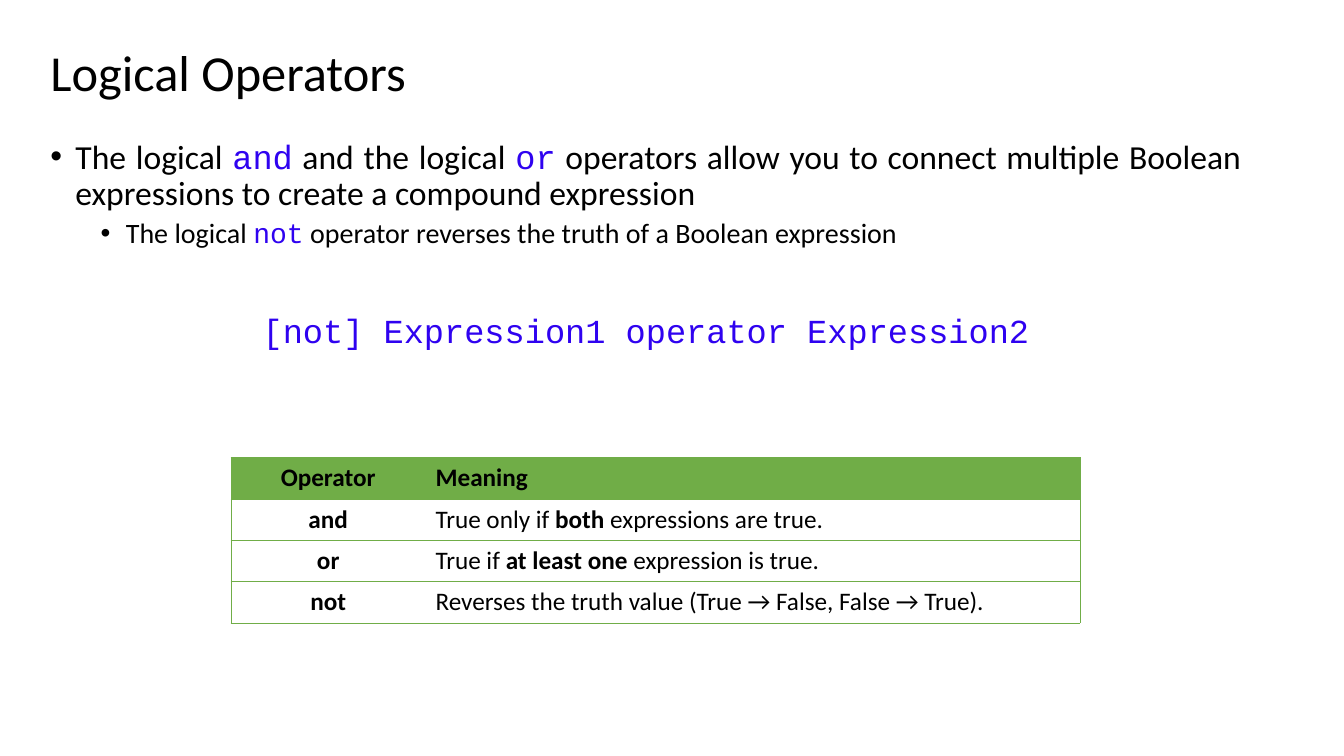
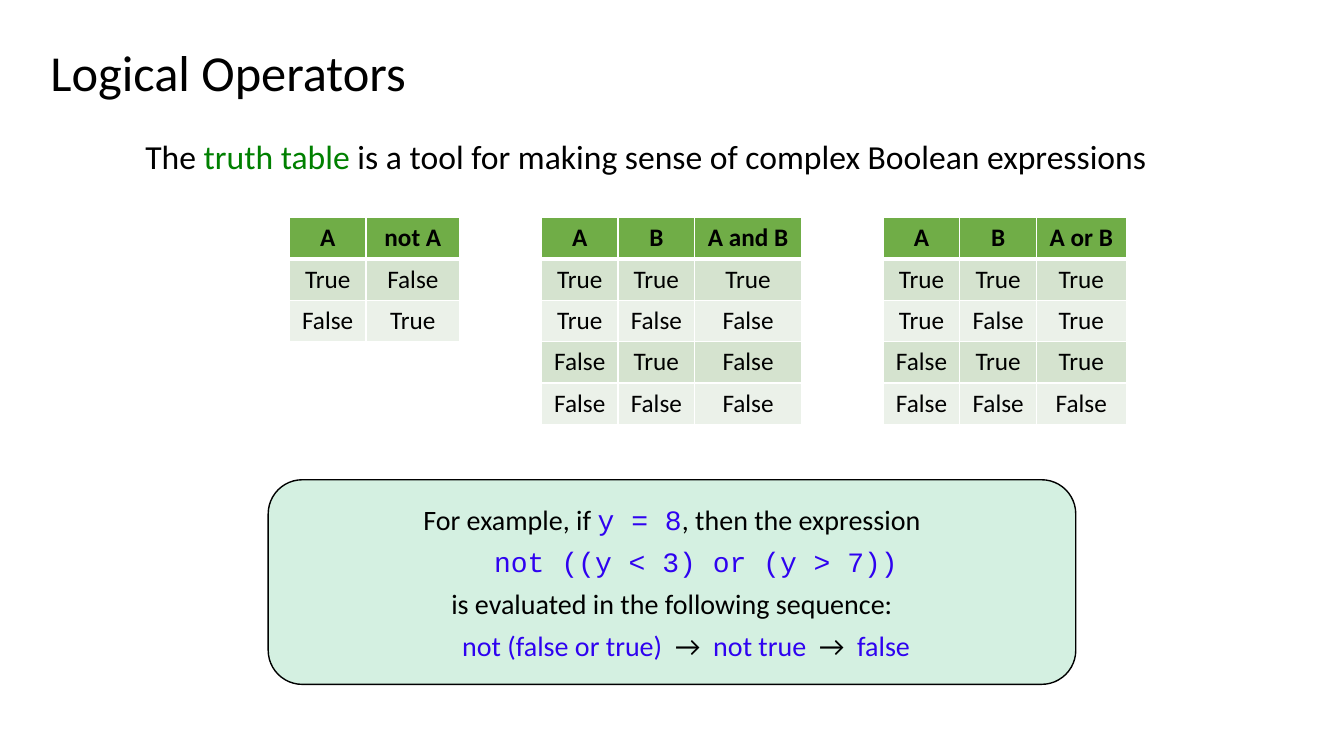
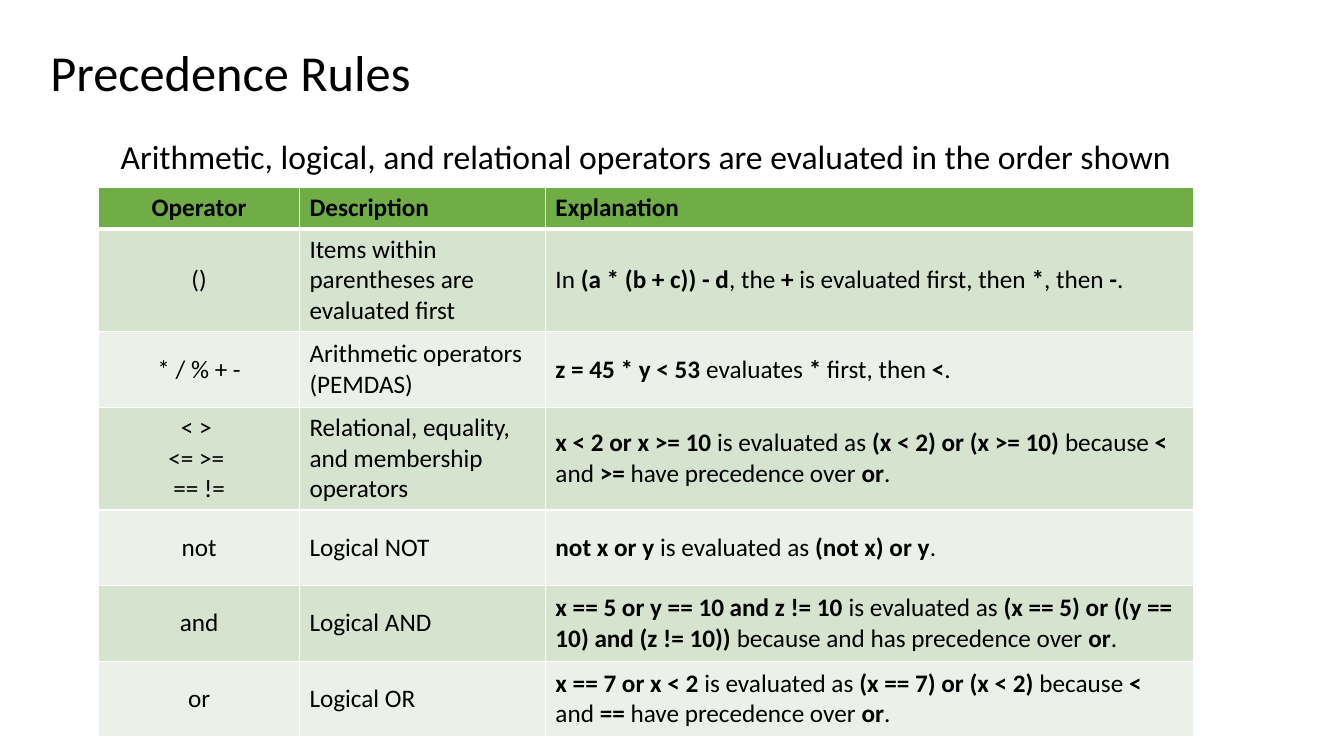
from dataclasses import dataclass

from lxml import etree
from pptx import Presentation
from pptx import util as u
from pptx.dml.color import RGBColor
from pptx.enum import shapes, text
from pptx.oxml.ns import qn

LEFT, CENTER, JUSTIFY = text.PP_ALIGN.LEFT, text.PP_ALIGN.CENTER, text.PP_ALIGN.JUSTIFY


# Theme
@dataclass(frozen=True)
class Theme:
    font: str = "Calibri"
    code_font: str = "Courier New"
    ink: str = "000000"
    code: str = "2F02F0"
    term: str = "008000"
    header: str = "70AD47"
    bands: tuple = ("D5E3CF", "EBF1E9")
    white: str = "FFFFFF"
    panel: str = "D4F0E1"
    title_size: int = 36
    body_size: int = 24
    sub_size: int = 20
    table_size: int = 18


T = Theme()

# Look of the marked (odd) segments of a text split at "|": font, colour, bold
MARKS = {
    "code": (T.code_font, T.code, None),
    "value": (None, T.code, None),
    "term": (None, T.term, None),
    "strong": (None, None, True),
}


@dataclass(frozen=True)
class Line:
    text: str
    mark: str = "code"
    size: int = T.body_size
    align: int = CENTER
    before: float = 10
    after: float = 0
    spacing: float = 0.9
    indent: float = 0
    bullet: bool = False


def panel_line(words, mark="code", indent=0):
    return Line(words, mark, T.sub_size, before=0, after=6, spacing=1, indent=indent)


# Content
OPERATORS_BODY = [
    Line("The logical |and| and the logical |or| operators allow you to connect multiple "
         "Boolean expressions to create a compound expression",
         align=JUSTIFY, indent=0.25, bullet=True),
    Line("The logical |not| operator reverses the truth of a Boolean expression",
         size=T.sub_size, align=JUSTIFY, before=5, indent=0.75, bullet=True),
    Line("|[not] Expression1 operator Expression2|", before=46),
]
OPERATORS = [
    ("Operator", "Meaning"),
    ("|and|", "True only if |both| expressions are true."),
    ("|or|", "True if |at least one| expression is true."),
    ("|not|", "Reverses the truth value (True → False, False → True)."),
]

TRUTH_BODY = [Line("The |truth table |is a tool for making sense of complex Boolean expressions",
                   "term")]
TRUTH_TABLES = [
    ((0.76, 0.93), [("A", "not A"), ("True", "False"), ("False", "True")]),
    ((0.76, 0.76, 1.06), [
        ("A", "B", "A and B"),
        ("True", "True", "True"),
        ("True", "False", "False"),
        ("False", "True", "False"),
        ("False", "False", "False"),
    ]),
    ((0.76, 0.76, 0.89), [
        ("A", "B", "A or B"),
        ("True", "True", "True"),
        ("True", "False", "True"),
        ("False", "True", "True"),
        ("False", "False", "False"),
    ]),
]
EXAMPLE = [
    panel_line("For example, if |y = 8|, then the expression"),
    panel_line("|not ((y < 3) or (y > 7))|", indent=0.48),
    panel_line("is evaluated in the following sequence:"),
    panel_line("|not (false or true)  |→  |not true | →  |false|", "value", indent=0.28),
]

PRECEDENCE_BODY = [
    Line("Arithmetic, logical, and relational operators are evaluated in the order shown")]
PRECEDENCE = [
    ("Operator", "Description", "Explanation"),
    ("()", "Items within parentheses are evaluated first",
     "In |(a * (b + c)) - d|, the |+| is evaluated first, then |*|, then |-|."),
    ("* / % + -", "Arithmetic operators (PEMDAS)",
     "|z = 45 * y < 53| evaluates |*| first, then |<|."),
    ("< > \n<= >= \n== !=", "Relational, equality, and membership operators",
     "|x < 2 or x >= 10 |is evaluated as |(x < 2) or (x >= 10) |because |<| and |>=|"
     " have precedence over |or|."),
    ("not", "Logical NOT", "|not x or y |is evaluated as |(not x) or y|."),
    ("and", "Logical AND",
     "|x == 5 or y == 10 and z != 10| is evaluated as "
     "|(x == 5) or ((y == 10) and (z != 10)) |because and has precedence over |or|."),
    ("or", "Logical OR",
     "|x == 7 or x < 2 |is evaluated as |(x == 7) or (x < 2) |because |<| and |==|"
     " have precedence over |or|."),
]

# Layout, in inches
SLIDE = (13.33, 7.5)
TITLE_BOX = (0.4, 0.24, 11.5, 1.02)
BODY_BOX = (0.4, 1.34, 12.01, 5.45)
EXAMPLE_BOX = (2.66, 4.76, 8.01, 2.03)
TRUTH_LEFT, TRUTH_TOP, TRUTH_GAP = 2.87, 2.16, 0.81
ROW, TWO_LINE_ROW, THREE_LINE_ROW = 0.41, 0.75, 1.02
BULLET_HANG = 0.25
NO_STYLE = "{2D5ABB26-0587-4C30-8999-92F81FD0307C}"


def inches(lengths):
    return [u.Inches(length) for length in lengths]


def rgb(colour):
    return RGBColor.from_string(colour)


# Text
def style_font(font, size, bold=None):
    font.name, font.size, font.bold = T.font, u.Pt(size), bold
    font.color.rgb = rgb(T.ink)


def add_runs(paragraph, words, mark):
    for i, segment in enumerate(words.split("|")):
        if not segment:
            continue
        run = paragraph.add_run()
        run.text = segment
        if i % 2:
            name, colour, bold = MARKS[mark]
            run.font.name, run.font.bold = name, bold
            if colour:
                run.font.color.rgb = rgb(colour)


def write_lines(frame, lines):
    frame.word_wrap = True
    for i, line in enumerate(lines):
        paragraph = frame.add_paragraph() if i else frame.paragraphs[0]
        paragraph.alignment = line.align
        paragraph.line_spacing = line.spacing
        paragraph.space_before, paragraph.space_after = u.Pt(line.before), u.Pt(line.after)
        props = paragraph._p.get_or_add_pPr()
        props.set("marL", str(u.Inches(line.indent)))
        if line.bullet:
            props.set("indent", str(-u.Inches(BULLET_HANG)))
            etree.SubElement(props, qn("a:buFont"), typeface="Arial")
            etree.SubElement(props, qn("a:buChar"), char="•")
        style_font(paragraph.font, line.size)
        add_runs(paragraph, line.text, line.mark)


# Tables
def set_border(cell, side, colour, width):
    line = etree.SubElement(cell._tc.get_or_add_tcPr(), qn("a:ln" + side),
                            w=str(u.Pt(width)))
    fill = etree.SubElement(line, qn("a:solidFill"))
    etree.SubElement(fill, qn("a:srgbClr"), val=colour)


def draw_borders(cell, r, c, last_column, banded):
    for side in "LRTB":
        if banded:
            under_header = (r, side) in ((0, "B"), (1, "T"))
            set_border(cell, side, T.white, 3 if under_header else 1)
        elif side in "TB" or (c, side) in ((0, "L"), (last_column, "R")):
            set_border(cell, side, T.header, 0.5)


def add_grid(slide, rows, left, top, columns, heights, centered=1, banded=True):
    """Draw a table whose first `centered` columns are centred."""
    size = inches((left, top, sum(columns), sum(heights)))
    table = slide.shapes.add_table(len(rows), len(columns), *size).table
    table._tbl.tblPr.find(qn("a:tableStyleId")).text = NO_STYLE
    for column, width in zip(table.columns, columns):
        column.width = u.Inches(width)
    for r, (row, height) in enumerate(zip(rows, heights)):
        table.rows[r].height = u.Inches(height)
        for c, words in enumerate(row):
            cell = table.cell(r, c)
            cell.vertical_anchor = text.MSO_ANCHOR.MIDDLE
            draw_borders(cell, r, c, len(columns) - 1, banded)
            if r and not banded:
                cell.fill.background()
            else:
                cell.fill.solid()
                cell.fill.fore_color.rgb = rgb(T.bands[(r - 1) % 2] if r else T.header)
            for i, words_line in enumerate(words.split("\n")):
                frame = cell.text_frame
                paragraph = frame.add_paragraph() if i else frame.paragraphs[0]
                paragraph.alignment = CENTER if c < centered else LEFT
                style_font(paragraph.font, T.table_size, bold=r == 0)
                add_runs(paragraph, words_line, "strong")


# Slides
def add_slide(deck, heading, body):
    slide = deck.slides.add_slide(deck.slide_layouts[5])
    title = slide.shapes.title
    title.left, title.top, title.width, title.height = inches(TITLE_BOX)
    frame = title.text_frame
    frame.auto_size = text.MSO_AUTO_SIZE.NONE
    frame.vertical_anchor = text.MSO_ANCHOR.MIDDLE
    write_lines(frame, [Line(heading, size=T.title_size, align=LEFT, before=0)])
    write_lines(slide.shapes.add_textbox(*inches(BODY_BOX)).text_frame, body)
    return slide


def add_example(slide):
    panel = slide.shapes.add_shape(shapes.MSO_SHAPE.ROUNDED_RECTANGLE, *inches(EXAMPLE_BOX))
    panel.shadow.inherit = False
    panel.fill.solid()
    panel.fill.fore_color.rgb = rgb(T.panel)
    panel.line.color.rgb = rgb(T.ink)
    panel.line.width = u.Pt(1)
    panel.text_frame.vertical_anchor = text.MSO_ANCHOR.MIDDLE
    write_lines(panel.text_frame, EXAMPLE)


def main():
    deck = Presentation()
    deck.slide_width, deck.slide_height = inches(SLIDE)

    operators = add_slide(deck, "Logical Operators", OPERATORS_BODY)
    add_grid(operators, OPERATORS, 2.29, 4.54, (1.93, 6.49), [ROW] * len(OPERATORS),
             banded=False)

    truth = add_slide(deck, "Logical Operators", TRUTH_BODY)
    left = TRUTH_LEFT
    for columns, rows in TRUTH_TABLES:
        add_grid(truth, rows, left, TRUTH_TOP, columns, [ROW] * len(rows),
                 centered=len(columns))
        left += sum(columns) + TRUTH_GAP
    add_example(truth)

    precedence = add_slide(deck, "Precedence Rules", PRECEDENCE_BODY)
    heights = [ROW, THREE_LINE_ROW, TWO_LINE_ROW, THREE_LINE_ROW] + [TWO_LINE_ROW] * 3
    add_grid(precedence, PRECEDENCE, 0.98, 1.86, (1.99, 2.44, 6.43), heights)

    deck.save("out.pptx")


if __name__ == "__main__":
    main()
